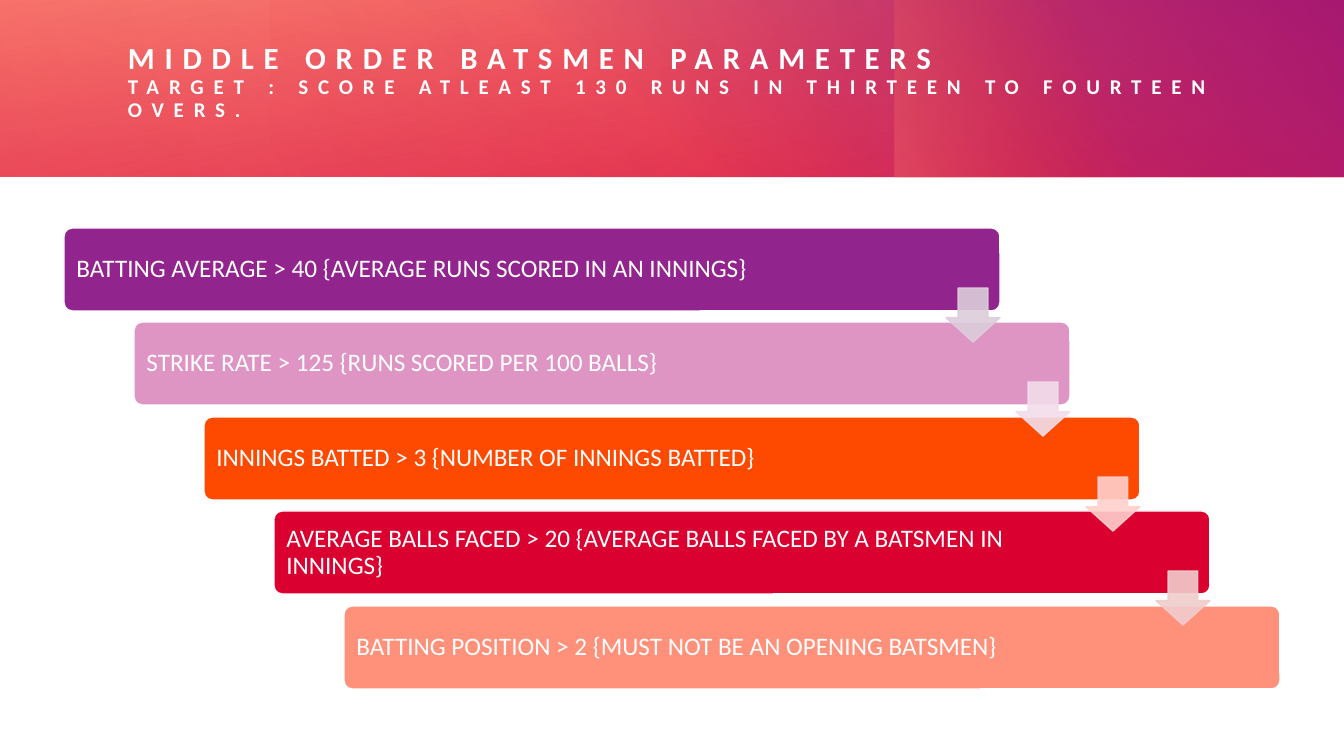
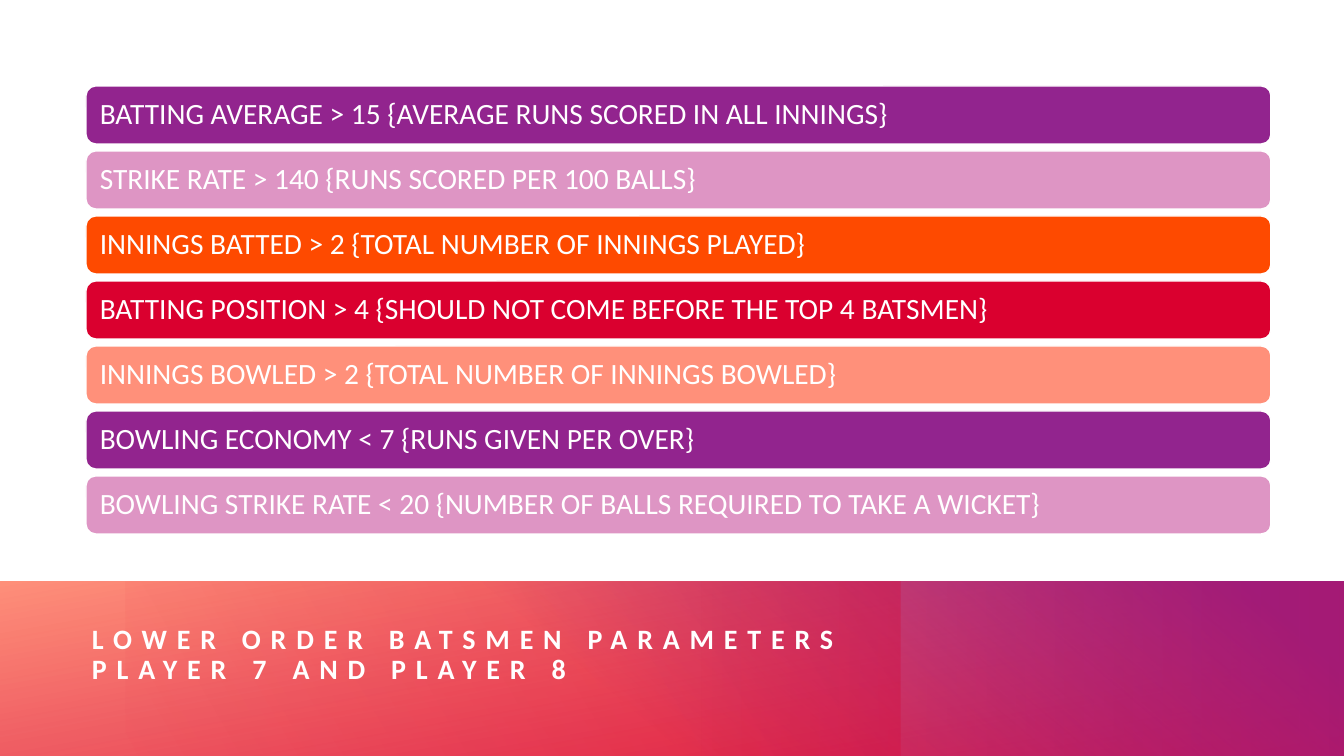
"""Build two slides of batting parameters for middle and lower order players."""
from lxml.etree import SubElement
from pptx import Presentation
from pptx.dml.color import RGBColor
from pptx.enum.shapes import MSO_SHAPE as Shape
from pptx.enum.text import MSO_ANCHOR as Anchor, PP_ALIGN as Align
from pptx.oxml.ns import qn
from pptx.util import Emu, Pt

EMU_PER_PX = 914400 / 100.8
WIDTH, HEIGHT = 1344, 756
FONT = "Calibri"

WHITE = RGBColor(0xFF, 0xFF, 0xFF)
PURPLE = RGBColor(0x92, 0x24, 0x8E)
PINK = RGBColor(0xDE, 0x95, 0xC4)
ORANGE = RGBColor(0xFE, 0x4A, 0x00)
RED = RGBColor(0xDA, 0x00, 0x2F)
CORAL = RGBColor(0xFF, 0x90, 0x7A)
PALE_PURPLE = RGBColor(0xDC, 0xCD, 0xDB)
PALE_PINK = RGBColor(0xF2, 0xDD, 0xEA)
PALE_ORANGE = RGBColor(0xFF, 0xD0, 0xCC)
PALE_RED = RGBColor(0xF1, 0xCC, 0xCD)
BAR_COLORS = [PURPLE, PINK, ORANGE, RED, CORAL]
ARROW_COLORS = [PALE_PURPLE, PALE_PINK, PALE_ORANGE, PALE_RED]


def add_block(slide, kind, box, stops, angle=None, rotation=0, outline=None, adjust=()):
    """Add a shape; stops are (position, colour, opacity), outline is (colour, opacity)."""
    block = slide.shapes.add_shape(kind, *[Emu(round(v * EMU_PER_PX)) for v in box])
    block.shadow.inherit = False
    block.rotation = rotation
    for index, value in enumerate(adjust):
        block.adjustments[index] = value
    if angle is None:
        block.fill.solid()
        block.fill.fore_color.rgb = stops[0][1]
    else:
        block.fill.gradient()
        block.fill.gradient_angle = -angle % 360
        for stop, (position, color, _) in zip(block.fill.gradient_stops, stops):
            stop.position = position / 100
            stop.color.rgb = color
    opacities = [opacity for _, _, opacity in stops]
    if outline:
        block.line.color.rgb = outline[0]
        block.line.width = Pt(1)
        opacities.append(outline[1])
    else:
        block.line.fill.background()
    tones = block.element.spPr.iter(qn("a:srgbClr"))
    for tone, opacity in zip(list(tones), opacities):
        if opacity < 100:
            SubElement(tone, qn("a:alpha")).set("val", str(opacity * 1000))
    return block


def write(frame, text, sizes, bold=False, tracking=0, anchor=Anchor.MIDDLE, left=0, right=0):
    """Write each line of the text as a white paragraph of the matching size."""
    frame.word_wrap = True
    frame.vertical_anchor = anchor
    frame.margin_top = frame.margin_bottom = 0
    frame.margin_left = Emu(round(left * EMU_PER_PX))
    frame.margin_right = Emu(round(right * EMU_PER_PX))
    frame.text = text
    for paragraph, size in zip(frame.paragraphs, sizes):
        paragraph.alignment = Align.LEFT
        paragraph.line_spacing = 0.9
        font = paragraph.runs[0].font
        font.name, font.size, font.bold = FONT, Pt(size), bold
        font.color.rgb = WHITE
        if tracking:
            paragraph.runs[0].font._element.set("spc", str(tracking * 100))


MIDDLE_VEILS = [
    ((0, 0, WIDTH, 177), [(0, RED, 83), (100, CORAL, 100)], 260, 0),
    ((485, 0, 859, 177), [(22, PURPLE, 0), (99, PURPLE, 100)], 310, 0),
    ((995, -100, 177, 377), [(45, ORANGE, 0), (99, CORAL, 33)], 250, 270),
    ((270, 0, 1073, 177), [(0, RED, 30), (99, RED, 0)], 330, 180),
    ((0, 0, 872, 177), [(0, RED, 21), (99, RED, 0)], 340, 0),
]
LOWER_VEILS = [
    ((0, 582, WIDTH, 176), [(0, RED, 88), (100, CORAL, 100)], 260, 0),
    ((445, 582, 900, 176), [(22, PURPLE, 0), (91, PURPLE, 100)], 310, 0),
    ((126, 582, 774, 175), [(0, RED, 30), (99, RED, 0)], 330, 180),
    ((445, 582, 900, 176), [(0, RED, 26), (72, RED, 0)], 0, 180),
]
MIDDLE_TITLE = (
    "MIDDLE ORDER BATSMEN PARAMETERS\n"
    "TARGET : SCORE ATLEAST 130 RUNS IN THIRTEEN TO FOURTEEN OVERS."
)
LOWER_TITLE = "LOWER ORDER BATSMEN PARAMETERS\nPLAYER 7 AND PLAYER 8"
HEADERS = [
    (MIDDLE_VEILS, MIDDLE_TITLE, (22, 15), (128, 43, 1144, 107)),
    (LOWER_VEILS, LOWER_TITLE, (20, 20), (92, 625, 1167, 94)),
]
MIDDLE_RULES = [
    "BATTING AVERAGE > 40 {AVERAGE RUNS SCORED IN AN INNINGS}",
    "STRIKE RATE > 125 {RUNS SCORED PER 100 BALLS}",
    "INNINGS BATTED > 3 {NUMBER OF INNINGS BATTED}",
    "AVERAGE BALLS FACED > 20 {AVERAGE BALLS FACED BY A BATSMEN IN INNINGS}",
    "BATTING POSITION > 2 {MUST NOT BE AN OPENING BATSMEN}",
]
LOWER_RULES = [
    "BATTING AVERAGE > 15 {AVERAGE RUNS SCORED IN ALL INNINGS}",
    "STRIKE RATE > 140 {RUNS SCORED PER 100 BALLS}",
    "INNINGS BATTED > 2 {TOTAL NUMBER OF INNINGS PLAYED}",
    "BATTING POSITION > 4 {SHOULD NOT COME BEFORE THE TOP 4 BATSMEN}",
    "INNINGS BOWLED > 2 {TOTAL NUMBER OF INNINGS BOWLED}",
    "BOWLING ECONOMY < 7 {RUNS GIVEN PER OVER}",
    "BOWLING STRIKE RATE < 20 {NUMBER OF BALLS REQUIRED TO TAKE A WICKET}",
]

deck = Presentation()
deck.slide_width = Emu(round(WIDTH * EMU_PER_PX))
deck.slide_height = Emu(round(HEIGHT * EMU_PER_PX))

for veils, title, sizes, title_box in HEADERS:
    slide = deck.slides.add_slide(deck.slide_layouts[6])
    for box, stops, angle, rotation in veils:
        add_block(slide, Shape.RECTANGLE, box, stops, angle, rotation)
    heading = slide.shapes.add_textbox(*[Emu(round(v * EMU_PER_PX)) for v in title_box])
    write(heading.text_frame, title, sizes, bold=True, tracking=7, anchor=Anchor.TOP)

middle, lower = deck.slides

STEP_X, STEP_SPAN = 70, 378
drops = [STEP_SPAN * i // (len(MIDDLE_RULES) - 1) for i in range(len(MIDDLE_RULES))]
for i, (rule, color) in enumerate(zip(MIDDLE_RULES, BAR_COLORS)):
    step = add_block(middle, Shape.ROUNDED_RECTANGLE, (64 + i * STEP_X, 228 + drops[i], 936, 83),
                     [(0, color, 100)], outline=(WHITE, 100), adjust=(0.1,))
    write(step.text_frame, rule, [18], left=10, right=133)
for i, color in enumerate(ARROW_COLORS):
    add_block(middle, Shape.DOWN_ARROW, (946 + i * STEP_X, 288 + drops[i], 54, 54),
              [(0, color, 90)], outline=(color, 90), adjust=(0.55, 0.45))

ROW_PITCH = 65
for i, rule in enumerate(LOWER_RULES):
    row = add_block(lower, Shape.ROUNDED_RECTANGLE, (86, 86 + i * ROW_PITCH, 1185, 58),
                    [(0, BAR_COLORS[i % len(BAR_COLORS)], 100)], outline=(WHITE, 100))
    write(row.text_frame, rule, [21], left=11, right=11)

deck.save("out.pptx")
